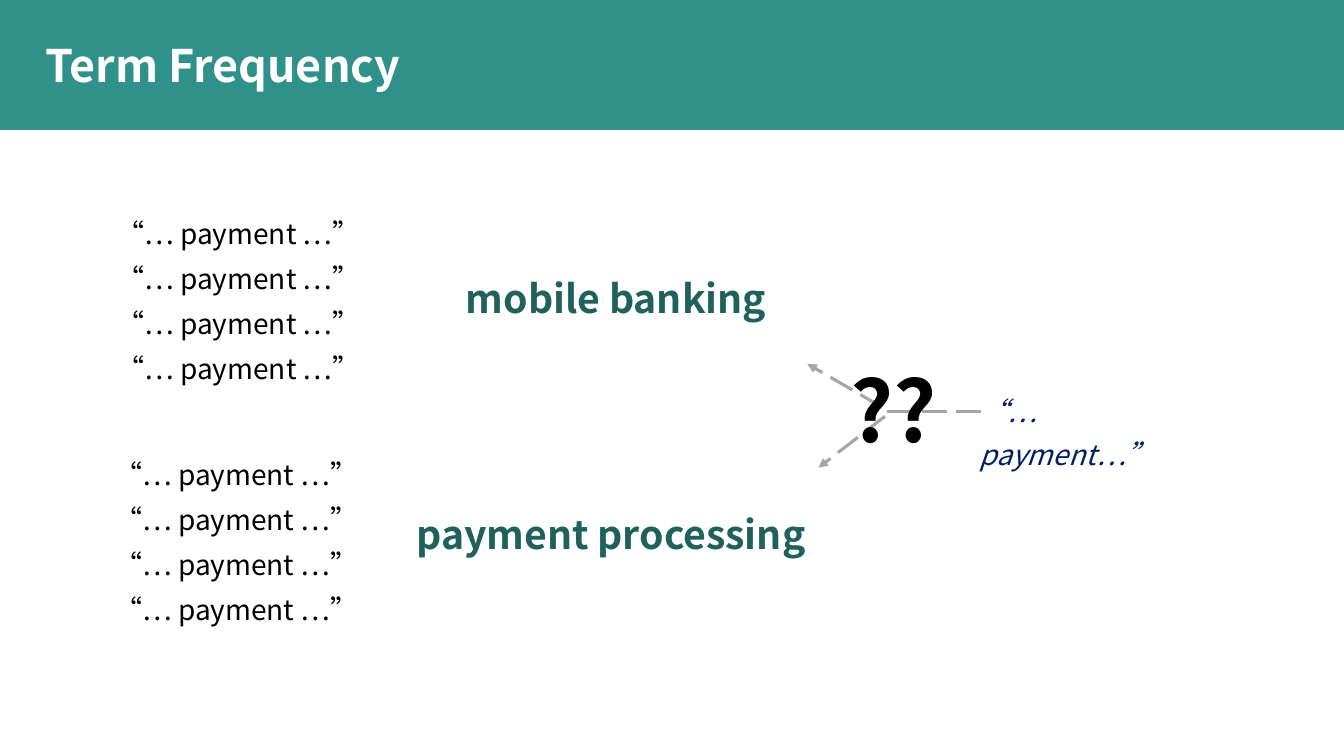
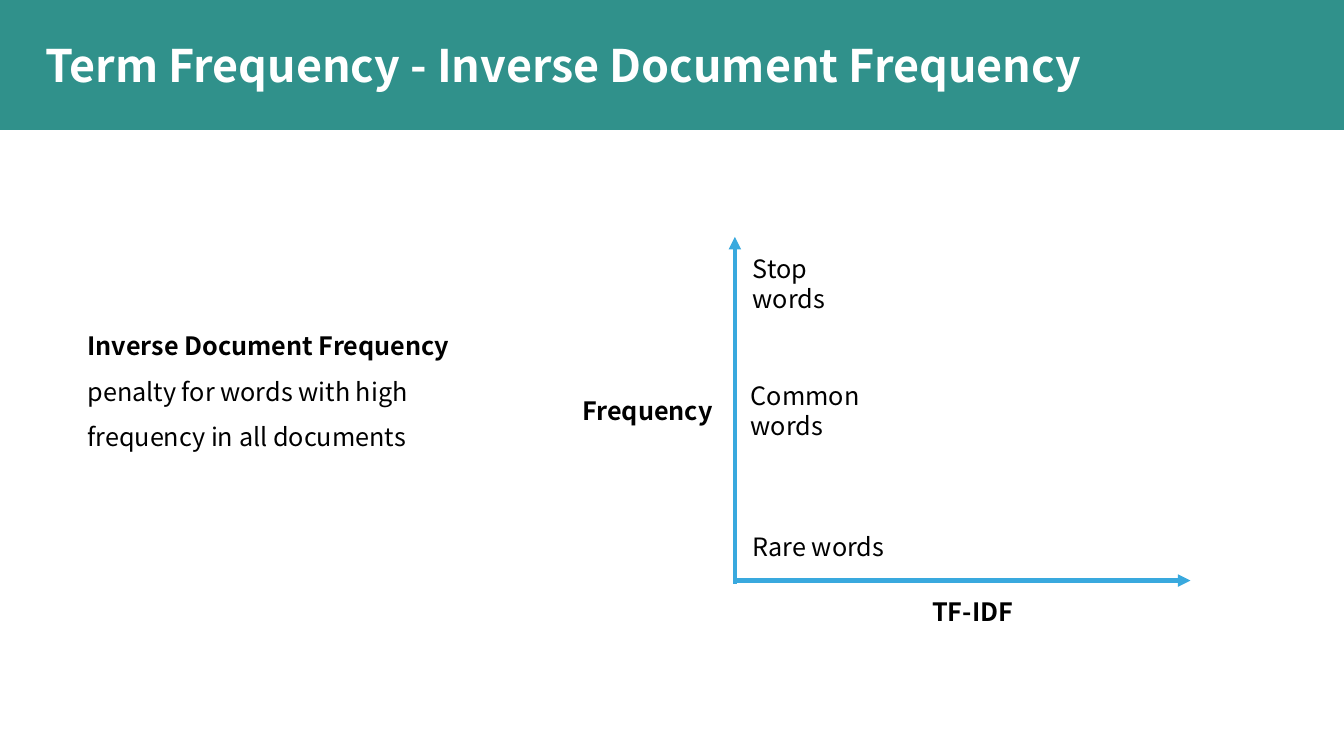
import pptx
import pptx.dml.color
import pptx.enum.dml
import pptx.enum.shapes
import pptx.enum.text
import pptx.oxml.ns
import pptx.util
import lxml.etree

FONT = "Noto Sans CJK SC"
TEAL = pptx.dml.color.RGBColor(0x30, 0x91, 0x8B)
DARK_TEAL = pptx.dml.color.RGBColor(0x20, 0x61, 0x5C)
NAVY = pptx.dml.color.RGBColor(0x00, 0x20, 0x60)
BLUE = pptx.dml.color.RGBColor(0x39, 0xA9, 0xDE)
GREY = pptx.dml.color.RGBColor(0xA6, 0xA6, 0xA6)
BLACK = pptx.dml.color.RGBColor(0x00, 0x00, 0x00)
WHITE = pptx.dml.color.RGBColor(0xFF, 0xFF, 0xFF)

COLUMNS, ROWS = 133.33, 75
BAND_ROWS = 12.9
WORD_PITCH = 4.47
LEFT = pptx.enum.text.PP_ALIGN.LEFT
CENTER = pptx.enum.text.PP_ALIGN.CENTER
RIGHT = pptx.enum.text.PP_ALIGN.RIGHT
TOP = pptx.enum.text.MSO_ANCHOR.TOP
MIDDLE = pptx.enum.text.MSO_ANCHOR.MIDDLE


def grid(*cells):
    return [pptx.util.Inches(cell / 10) for cell in cells]


def add_panel(page, *cells):
    panel = page.shapes.add_shape(pptx.enum.shapes.MSO_SHAPE.RECTANGLE, *grid(*cells))
    panel.shadow.inherit = False
    panel.fill.solid()
    panel.fill.fore_color.rgb = WHITE
    panel.line.fill.background()
    return panel


def add_text(page, text, *cells, size=18, color=BLACK, bold=False, lead_bold=False,
             italic=False, align=LEFT, spacing=None, before=None, anchor=TOP, panel=False):
    box = add_panel(page, *cells) if panel else page.shapes.add_textbox(*grid(*cells))
    frame = box.text_frame
    frame.word_wrap = True
    frame.vertical_anchor = anchor
    for index, line in enumerate(text.split("\n")):
        para = frame.add_paragraph() if index else frame.paragraphs[0]
        para.text = line
        para.alignment = align
        para.line_spacing = spacing
        para.space_before = before
        for span in para.runs:
            span.font.name = FONT
            span.font.size = pptx.util.Pt(size)
            span.font.bold = bold or (lead_bold and index == 0)
            span.font.italic = italic
            span.font.color.rgb = color
            east_asian = lxml.etree.SubElement(
                span.font._element, pptx.oxml.ns.qn("a:ea"))
            east_asian.set("typeface", FONT)
    return box


def add_line(page, *cells, color, width, dashed=False, arrow=True):
    line = page.shapes.add_connector(pptx.enum.shapes.MSO_CONNECTOR.STRAIGHT, *grid(*cells))
    line.line.color.rgb = color
    line.line.width = pptx.util.Pt(width)
    if dashed:
        line.line.dash_style = pptx.enum.dml.MSO_LINE.LONG_DASH
    properties = line._element.spPr
    if arrow:
        outline = properties.find(pptx.oxml.ns.qn("a:ln"))
        lxml.etree.SubElement(outline, pptx.oxml.ns.qn("a:tailEnd")).set("type", "triangle")
    lxml.etree.SubElement(properties, pptx.oxml.ns.qn("a:effectLst"))
    return line


def add_page(deck, title, title_columns):
    page = deck.slides.add_slide(deck.slide_layouts[6])
    add_panel(page, 0, BAND_ROWS, COLUMNS, ROWS - BAND_ROWS)
    add_text(page, title, 3.5, 2.8, title_columns, 7.9, size=32, color=WHITE, bold=True,
             spacing=0.9, before=pptx.util.Pt(10), anchor=MIDDLE)
    return page


def add_topic(page, topic, topic_cells, column, row):
    for index in range(4):
        add_text(page, "“… payment …”", column, row + index * WORD_PITCH, 34.5, 5,
                 size=20, align=CENTER, spacing=1.3)
    add_text(page, topic, *topic_cells, size=28, color=DARK_TEAL, bold=True,
             align=CENTER, spacing=1.3)


def build_term_frequency(deck):
    page = add_page(deck, "Term Frequency", 102.7)
    add_topic(page, "mobile banking", (43.1, 25.3, 36, 7.1), 6.4, 20)
    add_topic(page, "payment processing", (39.5, 48.7, 42.2, 7.1), 6.2, 43.9)
    add_text(page, "“… payment…”", 96.2, 37.6, 23, 5, size=20, color=NAVY,
             italic=True, spacing=1.3)
    for cells, arrow in (((87.5, 40.4, 80.1, 36.1), True),
                         ((87.8, 41.3, 81.2, 46.4), True),
                         ((88, 40.8, 97.3, 40.8), False)):
        add_line(page, *cells, color=GREY, width=2.25, dashed=True, arrow=arrow)
    add_text(page, "??", 83.4, 35.1, 12.6, 11.1, size=60, bold=True)


def build_inverse_frequency(deck):
    page = add_page(deck, "Term Frequency - Inverse Document Frequency", 129.8)
    add_text(page, "Frequency", 54.3, 38.7, 17.4, 4, bold=True, align=RIGHT, panel=True)
    add_text(page, "TF-IDF", 87.8, 58.7, 17.4, 4, bold=True, align=CENTER, panel=True)
    for cells in ((72.9, 57.9, 72.9, 23.5), (72.9, 57.6, 118.1, 57.6)):
        add_line(page, *cells, color=BLUE, width=3)
    for label, cells in (("Stop\vwords", (73.7, 24.6, 17.4, 7.1)),
                         ("Common\vwords", (73.5, 37.2, 21.5, 7.1)),
                         ("Rare words", (73.7, 52.2, 21.5, 4))):
        add_text(page, label, *cells, panel=True)
    add_text(page, "Inverse Document Frequency\n"
             "penalty for words with high frequency in all documents",
             7.7, 30.8, 44.6, 14.6, lead_bold=True, spacing=1.5, panel=True)


def main():
    deck = pptx.Presentation()
    deck.slide_width, deck.slide_height = grid(COLUMNS, ROWS)
    backdrop = deck.slide_master.background.fill
    backdrop.solid()
    backdrop.fore_color.rgb = TEAL
    build_term_frequency(deck)
    build_inverse_frequency(deck)
    deck.save("out.pptx")


if __name__ == "__main__":
    main()
